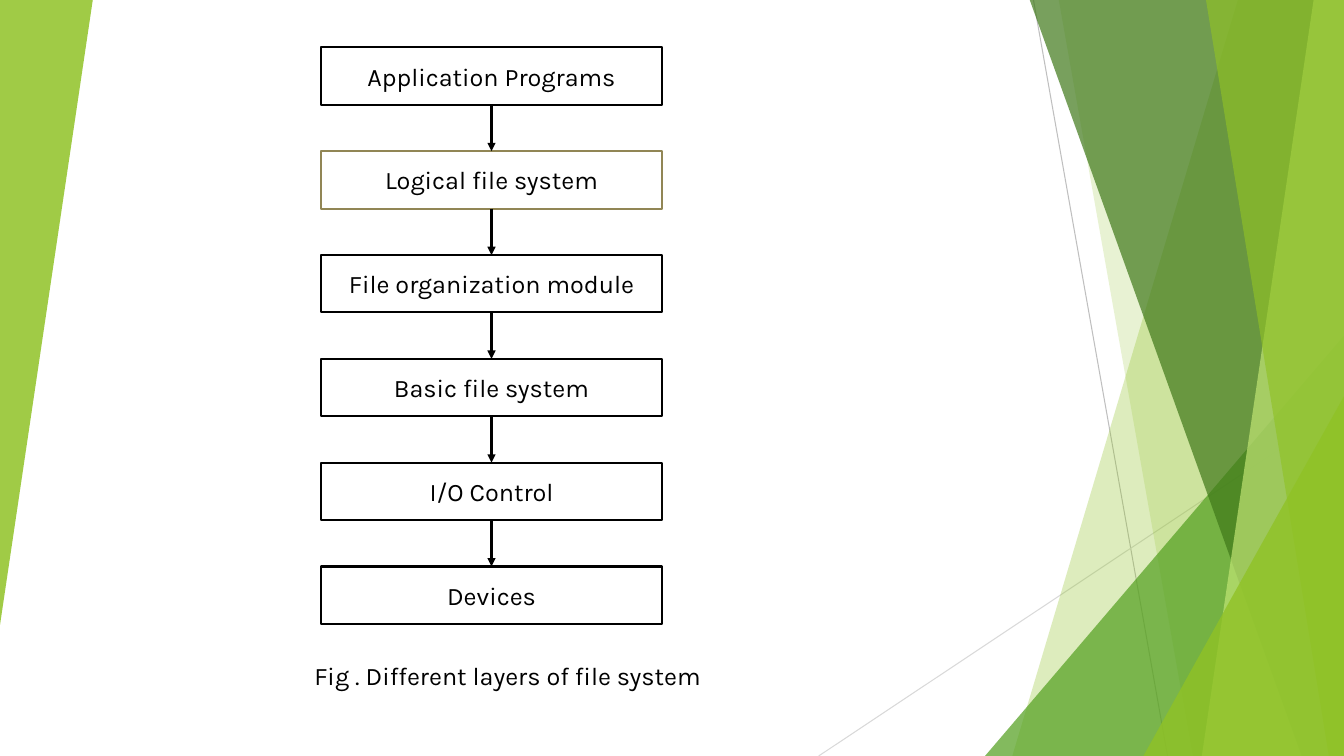
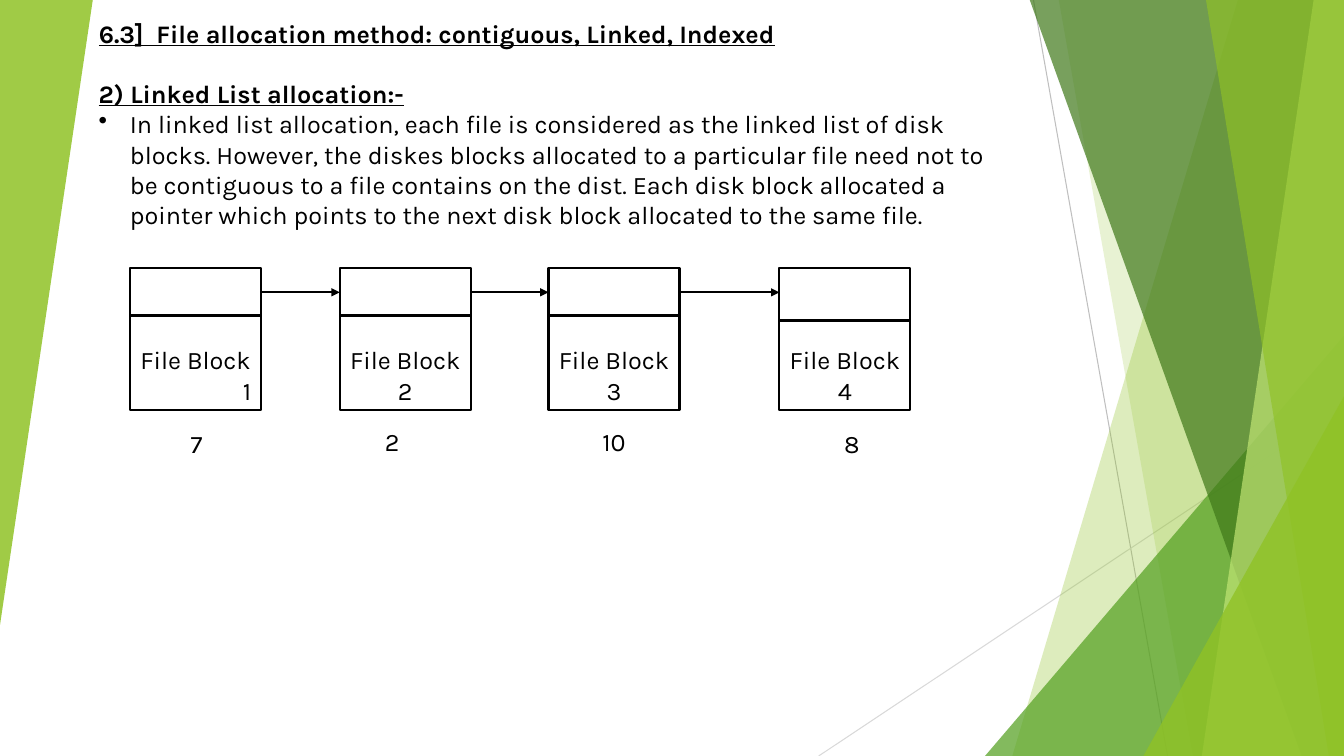
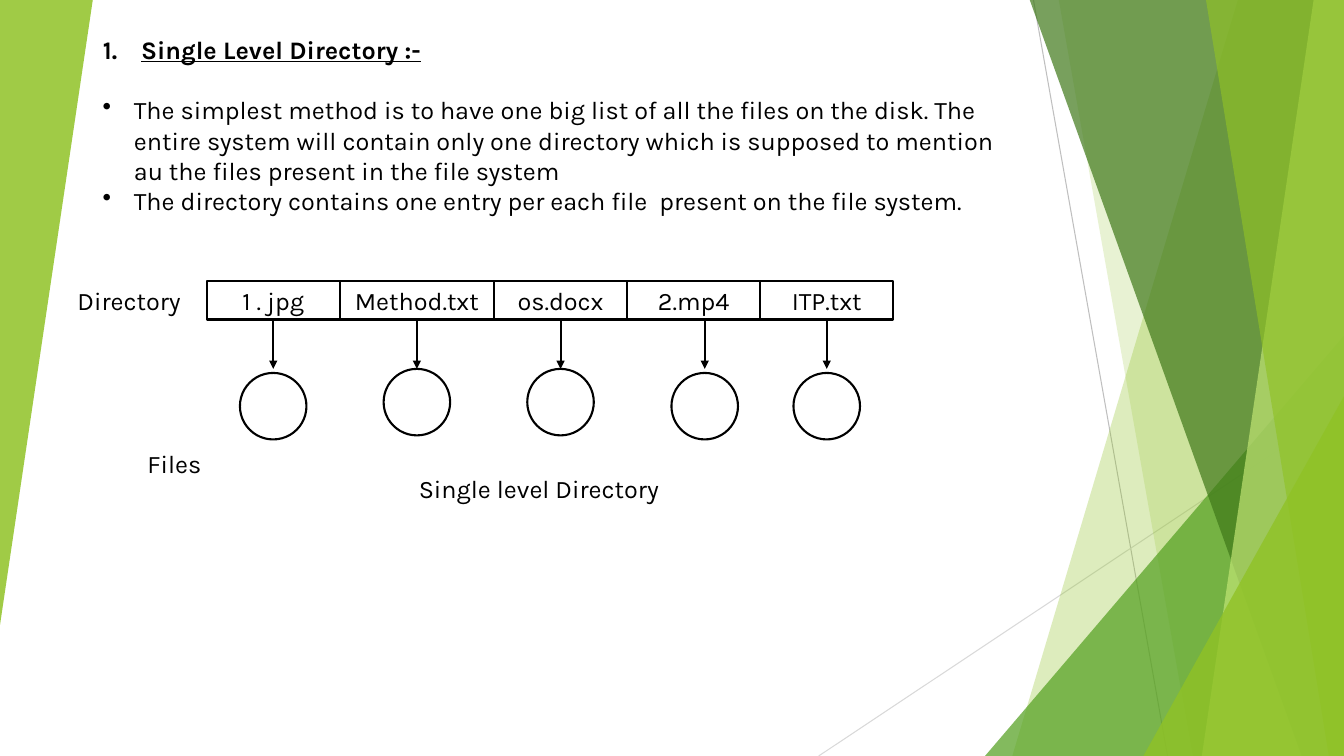
"""Three slides on file systems: layers, linked allocation and a single level directory."""
import dataclasses

import lxml.etree
import pptx
import pptx.dml.color
import pptx.enum.shapes
import pptx.enum.text
import pptx.oxml.ns
import pptx.util

Inches, Pt = pptx.util.Inches, pptx.util.Pt
RGB = pptx.dml.color.RGBColor.from_string
SHAPE = pptx.enum.shapes.MSO_SHAPE
ANCHOR = pptx.enum.text.MSO_ANCHOR
ALIGN = pptx.enum.text.PP_ALIGN
qn = pptx.oxml.ns.qn


@dataclasses.dataclass(frozen=True)
class Theme:
    font: str = "Karla"
    size: float = 18
    stroke: float = 1.5
    hairline: float = 0.75
    ink: str = "000000"
    paper: str = "FFFFFF"
    olive: str = "918655"
    grey: str = "BFBFBF"
    light_grey: str = "D9D9D9"
    lime: str = "90C226"
    pale_lime: str = "C0E474"
    green: str = "54A021"
    forest: str = "3F7819"


theme = Theme()
WIDTH, HEIGHT = 13.33, 7.5


def add_box(s, at, text="", border=theme.ink, kind=SHAPE.RECTANGLE, anchor=ANCHOR.MIDDLE):
    sp = s.shapes.add_shape(kind, *map(Inches, at))
    sp.shadow.inherit = False
    sp.fill.solid()
    sp.fill.fore_color.rgb = RGB(theme.paper)
    sp.line.color.rgb = RGB(border)
    sp.line.width = Pt(theme.stroke)
    tf = sp.text_frame
    tf.text = text
    tf.vertical_anchor = anchor
    for p in tf.paragraphs:
        p.alignment = ALIGN.CENTER
    return sp


def add_line(s, start, end, arrow=True, color=theme.ink, width=theme.stroke):
    c = s.shapes.add_connector(pptx.enum.shapes.MSO_CONNECTOR.STRAIGHT, *map(Inches, (*start, *end)))
    c.line.color.rgb = RGB(color)
    c.line.width = Pt(width)
    props = c.element.find(qn("p:spPr"))
    if arrow:
        lxml.etree.SubElement(props.find(qn("a:ln")), qn("a:tailEnd"), type="triangle")
    lxml.etree.SubElement(props, qn("a:effectLst"))
    return c


prs = pptx.Presentation()
prs.slide_width, prs.slide_height = Inches(WIDTH), Inches(HEIGHT)
title_only, blank = prs.slide_layouts[5], prs.slide_layouts[6]

s = prs.slides.add_slide(blank)
add_line(s, (10.25, 0), (11.58, HEIGHT), False, theme.grey, theme.hairline)
add_line(s, (WIDTH, 4.03), (8.12, HEIGHT), False, theme.light_grey, theme.hairline)
facets = [
    ("band", 12.28, 10.04, theme.lime, 30),
    ("band", 10.5, 11.83, theme.lime, 20),
    ("corner", 9.77, 3.33, theme.green, 72),
    ("band", 10.21, 12.91, theme.forest, 70),
    ("band", 13.03, 11.92, theme.pale_lime, 70),
    ("band", 11.96, 13.18, theme.lime, 65),
    ("corner", 11.34, 3.93, theme.lime, 80),
    ("wedge", 0.92, 6.2, theme.lime, 85),
]
for kind, a, b, color, opacity in facets:
    if kind == "band":
        outline = s.shapes.build_freeform(Inches(a), Inches(-0.01))
        corners = [(WIDTH, -0.01), (WIDTH, HEIGHT), (b, HEIGHT)]
        outline.add_line_segments([(Inches(x), Inches(y)) for x, y in corners])
        sp = outline.convert_to_shape()
    else:
        at = (a, b, WIDTH - a, HEIGHT - b) if kind == "corner" else (0, 0, a, b)
        sp = s.shapes.add_shape(SHAPE.ISOSCELES_TRIANGLE, *map(Inches, at))
        sp.adjustments[0] = 1
        sp.rotation = 180 if kind == "wedge" else 0
    sp.shadow.inherit = False
    sp.fill.solid()
    sp.fill.fore_color.rgb = RGB(color)
    sp.line.fill.background()
    solid = sp.element.find(".//" + qn("a:srgbClr"))
    lxml.etree.SubElement(solid, qn("a:alpha"), val=str(opacity * 1000))

for number, sp in enumerate(list(s.shapes), 100):
    sp.element.find(".//" + qn("p:cNvPr")).set("id", str(number))
    prs.slide_master.shapes.element.append(sp.element)

layers = ["Application Programs", "Logical file system", "File organization module",
          "Basic file system", "I/O Control", "Devices"]
above = None
for i, layer in enumerate(layers):
    border = theme.olive if layer == "Logical file system" else theme.ink
    sp = add_box(s, (3.18, 0.47 + 1.03 * i, 3.39, 0.57), layer, border)
    if above:
        c = add_line(s, (0, 0), (0, 0))
        c.begin_connect(above, 2)
        c.end_connect(sp, 0)
    above = sp
add_box(s, (2.48, 6.48, 5.11, 0.45), "Fig . Different layers of file system", theme.paper)

topics = [
    ("6.3]  File allocation method: contiguous, Linked, Indexed", False, 0.88, 0.13, [
        ("2) Linked List allocation:-", True),
        ("In linked list allocation, each file is considered as the linked list of disk blocks. "
         "However, the diskes blocks allocated to a particular file need not to be contiguous to a "
         "file contains on the dist. Each disk block allocated a pointer which points to the next "
         "disk block allocated to the same file.", False)]),
    ("Single Level Directory :-", True, 0.92, 0.29, [
        ("The simplest method is to have one big list of all the files on the disk. The entire "
         "system will contain only one directory which is supposed to mention au the files present "
         "in the file system", False),
        ("The directory contains one entry per each file  present on the file system.", False)]),
]
for title, numbered, left, top, body in topics:
    s = prs.slides.add_slide(title_only)
    heading = s.shapes.title
    heading.left, heading.top, heading.width, heading.height = map(Inches, (left, top, 9.3, 0.4))
    notes = s.shapes.add_textbox(*map(Inches, (left, top + 0.6, 9.3, 1.62)))
    notes.text_frame.text = "\n".join(text for text, _ in body)
    heading.text_frame.text = title
    for sp in (heading, notes):
        sp.text_frame.word_wrap = True
        sp.text_frame.auto_size = pptx.enum.text.MSO_AUTO_SIZE.NONE
        sp.text_frame.vertical_anchor = ANCHOR.TOP
    styles = [(heading.text_frame.paragraphs[0], True, "buAutoNum" if numbered else None)]
    for p, (_, strong) in zip(notes.text_frame.paragraphs, body):
        styles.append((p, strong, None if strong else "buChar"))
    for p, strong, bullet in styles:
        p.alignment = ALIGN.LEFT
        p.runs[0].font.bold = p.runs[0].font.underline = strong
        if bullet:
            indent = Inches(0.38 if bullet == "buAutoNum" else 0.31)
            props = p._p.get_or_add_pPr()
            props.set("marL", str(indent))
            props.set("indent", str(-indent))
            mark = {"type": "arabicPeriod"} if bullet == "buAutoNum" else {"char": "•"}
            lxml.etree.SubElement(props, qn("a:" + bullet), mark)

s = prs.slides[1]
blocks = [(1.29, 3.13, "7", 1.45, 4.22), (3.37, 3.13, "2", 3.39, 4.2),
          (5.44, 3.13, "10", 5.59, 4.2), (7.73, 3.18, "8", 7.95, 4.22)]
block_width = 1.3
previous = None
for n, (left, divider, address, label_left, label_top) in enumerate(blocks, 1):
    sp = add_box(s, (left, 2.66, block_width, 1.41), f"File Block\n{n}", anchor=ANCHOR.BOTTOM)
    if n == 1:
        sp.text_frame.paragraphs[1].alignment = ALIGN.RIGHT
    add_line(s, (left, divider), (left + block_width, divider), arrow=False)
    if previous:
        add_line(s, (previous + block_width, 2.9), (left, 2.9))
    add_box(s, (label_left, label_top, 1, 0.35), address, theme.paper)
    previous = left

s = prs.slides[2]
files = [("1 . jpg", 1.32, 0, 3.7), ("Method.txt", 1.53, 0, 3.66), ("os.docx", 1.32, 0, 3.66),
         ("2.mp4", 1.32, 0.11, 3.7), ("ITP.txt", 1.32, 0, 3.7)]
left, diameter = 2.05, 0.66
for name, width, shift, circle_top in files:
    cell = add_box(s, (left, 2.79, width, 0.38), name)
    center = left + width / 2 + shift
    c = add_line(s, (center, 3.17), (center, 3.66))
    if not shift:
        c.begin_connect(cell, 2)
    add_box(s, (center - diameter / 2, circle_top, diameter, diameter), kind=SHAPE.OVAL)
    left += width
for text, at in [("Directory", (0.62, 2.79, 1.32, 0.38)), ("Files", (1.07, 4.41, 1.32, 0.38)),
                 ("Single level Directory", (3.81, 4.66, 3.07, 0.38))]:
    add_box(s, at, text, theme.paper)

for s in prs.slides:
    for sp in s.shapes:
        if sp.has_text_frame:
            for p in sp.text_frame.paragraphs:
                for r in p.runs:
                    r.font.name = theme.font
                    r.font.size = Pt(theme.size)
                    r.font.color.rgb = RGB(theme.ink)

prs.save("out.pptx")
